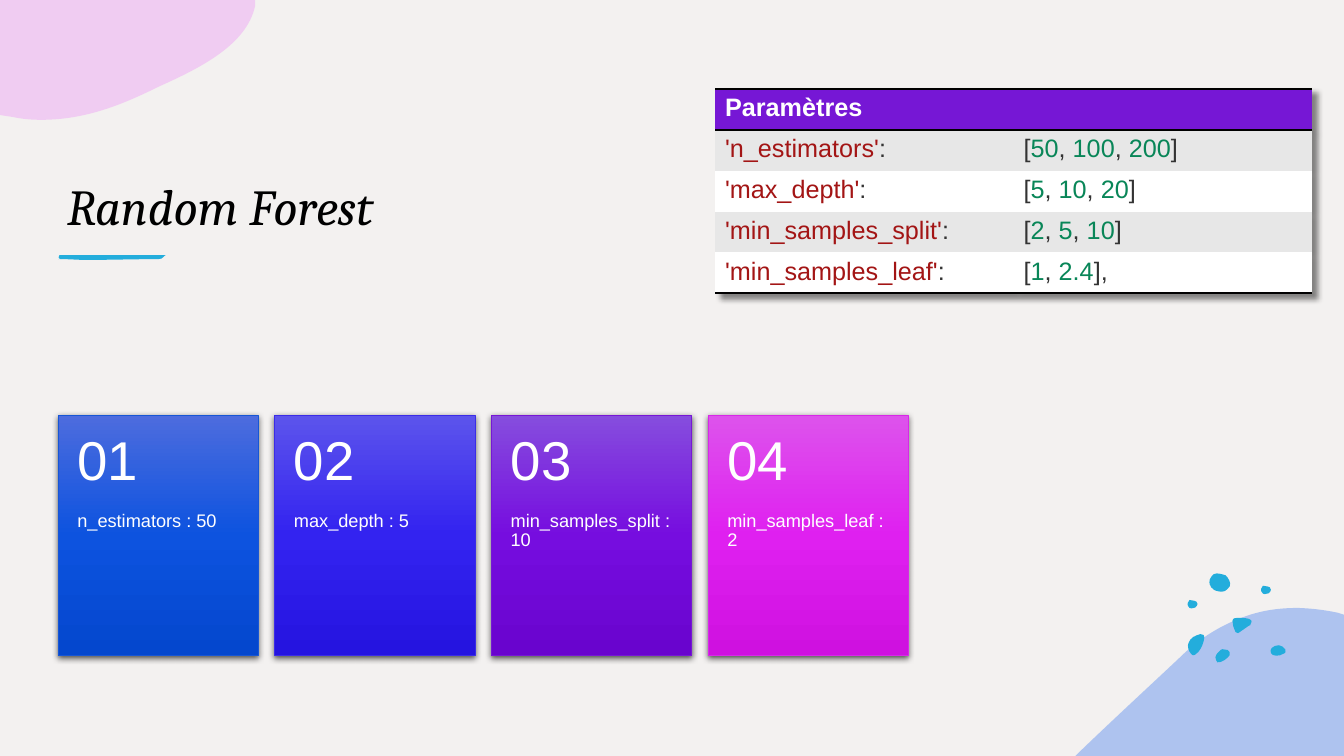
import copy

import lxml.etree
import pptx
import pptx.dml.color
import pptx.enum.shapes
import pptx.enum.text
import pptx.oxml.ns
import pptx.util

Cm = pptx.util.Cm
Pt = pptx.util.Pt
RGBColor = pptx.dml.color.RGBColor
qn = pptx.oxml.ns.qn

BACKGROUND = RGBColor(0xF3, 0xF1, 0xF0)
BLACK = RGBColor(0, 0, 0)
WHITE = RGBColor(0xFF, 0xFF, 0xFF)
BLUE = RGBColor(0x6B, 0x97, 0xEF)
PINK = RGBColor(0xEF, 0xA9, 0xF5)
CYAN = RGBColor(0x23, 0xAD, 0xDC)
PURPLE = RGBColor(0x76, 0x17, 0xD5)
BAND = RGBColor(0xE7, 0xE7, 0xE7)
RED = RGBColor(0xA3, 0x15, 0x15)
GREEN = RGBColor(0x09, 0x86, 0x58)
GREY = RGBColor(0x33, 0x33, 0x33)

deck = pptx.Presentation()
deck.slide_width, deck.slide_height = Cm(33.87), Cm(19.05)
page = deck.slides.add_slide(deck.slide_layouts[6])
page.background.fill.solid()
page.background.fill.fore_color.rgb = BACKGROUND


def draw_outline(start, curves, corners, colour, opacity=100):
    """Draw cubic curves (control, control, end in cm), then straight corners."""
    points = [point for curve in curves for point in curve] + corners
    builder = page.shapes.build_freeform(Cm(start[0]), Cm(start[1]))
    builder.add_line_segments([(Cm(x), Cm(y)) for x, y in points], close=True)
    shape = builder.convert_to_shape()
    segments = shape._element.spPr.findall(".//" + qn("a:lnTo"))
    for first in range(0, 3 * len(curves), 3):
        bezier = lxml.etree.Element(qn("a:cubicBezTo"))
        segments[first].addprevious(bezier)
        for segment in segments[first:first + 3]:
            bezier.append(segment[0])
            segment.getparent().remove(segment)
    shape.shadow.inherit = False
    shape.fill.solid()
    shape.fill.fore_color.rgb = colour
    shape.line.fill.background()
    if opacity < 100:
        tint = shape._element.spPr.find(".//" + qn("a:srgbClr"))
        lxml.etree.SubElement(tint, qn("a:alpha"), val=str(opacity * 1000))


def cast_shadow(effects, blur, distance, angle, opacity):
    shadow = lxml.etree.SubElement(
        effects, qn("a:outerShdw"), blurRad=str(Pt(blur)), dist=str(Pt(distance)),
        dir=str(angle * 60000), algn="ctr", rotWithShape="0")
    tint = lxml.etree.SubElement(shadow, qn("a:srgbClr"), val="000000")
    lxml.etree.SubElement(tint, qn("a:alpha"), val=str(opacity * 1000))


# Corner blobs
draw_outline((27.13, 19.02), [
    ((27.99, 18.19), (28.88, 17.37), (29.69, 16.61)),
    ((30.25, 16.05), (30.84, 15.72), (31.42, 15.52)),
    ((31.85, 15.37), (32.28, 15.32), (32.71, 15.32)),
    ((33.05, 15.33), (33.38, 15.37), (33.71, 15.44)),
], [(33.87, 15.49), (33.87, 19.05), (27.1, 19.05)], BLUE, 50)
draw_outline((6.43, 0.15), [
    ((6.22, 1.12), (5.08, 1.7), (4.01, 2.18)),
    ((3.12, 2.62), (2.18, 3.02), (1.04, 3.02)),
    ((0.79, 3.02), (0.56, 3), (0.33, 2.95)),
], [(0, 2.9), (0, 0), (6.43, 0)], PINK, 50)

# Cyan dots, each a closed loop of curves
pebble = [
    ((31.78, 14.88), (31.78, 14.78), (31.83, 14.76)),
    ((31.88, 14.76), (31.9, 14.76), (31.95, 14.78)),
    ((31.98, 14.78), (32.03, 14.81), (32.03, 14.86)),
    ((32.03, 14.88), (32, 14.94), (31.98, 14.94)),
    ((31.98, 14.94), (31.98, 14.96), (31.93, 14.96)),
    ((31.9, 14.96), (31.85, 14.99), (31.83, 14.96)),
    ((31.8, 14.91), (31.78, 14.91), (31.78, 14.88)),
]
dots = [
    [((30.86, 16.36), (30.89, 16.36), (30.94, 16.38)),
     ((30.99, 16.41), (31.01, 16.46), (30.99, 16.51)),
     ((30.94, 16.59), (30.78, 16.71), (30.68, 16.69)),
     ((30.66, 16.66), (30.63, 16.61), (30.63, 16.56)),
     ((30.63, 16.51), (30.68, 16.46), (30.73, 16.41)),
     ((30.76, 16.38), (30.78, 16.36), (30.81, 16.36))],
    [((30.3, 15.98), (30.36, 15.99), (30.35, 16.08)),
     ((30.33, 16.21), (30.28, 16.33), (30.2, 16.43)),
     ((30.15, 16.48), (30.07, 16.56), (30.02, 16.48)),
     ((29.95, 16.41), (29.92, 16.28), (29.95, 16.21)),
     ((29.97, 16.13), (30.02, 16.1), (30.07, 16.05)),
     ((30.1, 16.05), (30.18, 15.98), (30.25, 15.98))],
    [((32.28, 16.26), (32.36, 16.31), (32.39, 16.36)),
     ((32.41, 16.41), (32.41, 16.46), (32.33, 16.48)),
     ((32.26, 16.54), (32.05, 16.54), (32.03, 16.46)),
     ((32, 16.41), (32.03, 16.36), (32.05, 16.33)),
     ((32.1, 16.28), (32.16, 16.26), (32.23, 16.26))],
    [((30.48, 14.76), (30.45, 14.61), (30.53, 14.53)),
     ((30.58, 14.48), (30.58, 14.45), (30.66, 14.45)),
     ((30.73, 14.45), (30.84, 14.48), (30.89, 14.5)),
     ((30.94, 14.55), (31.04, 14.68), (30.99, 14.78)),
     ((30.91, 14.86), (30.89, 14.91), (30.78, 14.91)),
     ((30.71, 14.91), (30.58, 14.88), (30.56, 14.83)),
     ((30.51, 14.81), (30.51, 14.78), (30.51, 14.76))],
    pebble,
    [[(x - 1.85, y + 0.36) for x, y in curve] for curve in pebble],
    [((31.34, 15.57), (31.62, 15.57), (31.52, 15.72)),
     ((31.52, 15.75), (31.5, 15.77), (31.47, 15.77)),
     ((31.39, 15.82), (31.32, 15.88), (31.24, 15.93)),
     ((31.22, 15.95), (31.19, 15.98), (31.14, 15.93)),
     ((31.09, 15.82), (31.06, 15.75), (31.06, 15.65)),
     ((31.06, 15.62), (31.06, 15.57), (31.19, 15.57))],
]
for dot in dots:
    draw_outline(dot[-1][-1], dot, [], CYAN)

# Title, its brush stroke and the loose bristles at both ends
for x, y in ((1.48, 6.53), (1.52, 6.53), (4.15, 6.43)):
    draw_outline((x, y), [((x + 0.01, y), (x + 0.02, y), (x + 0.02, y + 0.01))], [], CYAN)
draw_outline((4.17, 6.43), [
    ((4.09, 6.45), (4.14, 6.53), (3.99, 6.53)),
    ((3.4, 6.53), (2.8, 6.55), (2.18, 6.55)),
    ((1.95, 6.55), (1.75, 6.53), (1.55, 6.53)),
    ((1.45, 6.53), (1.47, 6.45), (1.5, 6.43)),
], [], CYAN)
box = page.shapes.add_textbox(Cm(1.44), Cm(0.92), Cm(13.23), Cm(5.13))
box.text_frame.word_wrap = True
box.text_frame.auto_size = pptx.enum.text.MSO_AUTO_SIZE.NONE
box.text_frame.vertical_anchor = pptx.enum.text.MSO_ANCHOR.BOTTOM
para = box.text_frame.paragraphs[0]
para.text = "Random Forest"
para.font.name, para.font.size, para.font.italic = "Cambria", Pt(36), True
para.font.color.rgb = BLACK

# Cards with the chosen values: text, gradient colours, line colour
cards = [
    ("n_estimators : 50", ("4D6CDE", "0D53DF", "0447CE"), "1756D5"),
    ("max_depth : 5", ("5C54EC", "3323F0", "2514E0"), "3B2CE7"),
    ("min_samples_split : 10", ("864DDE", "760DDF", "6904CE"), "7617D5"),
    ("min_samples_leaf : 2", ("DD53EC", "DF20F0", "CF11E0"), "D729E7"),
]
for index, (setting, gradient, edge) in enumerate(cards):
    left = Cm(1.46 + 5.46 * index)
    card = page.shapes.add_shape(pptx.enum.shapes.MSO_SHAPE.RECTANGLE,
                                 left, Cm(10.46), Cm(5.05), Cm(6.06))
    card.fill.gradient()
    card.fill.gradient_angle = 270
    stops = card._element.spPr.find(".//" + qn("a:gsLst"))
    stops.insert(1, copy.deepcopy(stops[0]))
    for stop, position, colour in zip(card.fill.gradient_stops, (0, 0.5, 1), gradient):
        stop.position = position
        stop.color.rgb = RGBColor.from_string(colour)
    card.line.color.rgb = RGBColor.from_string(edge)
    card.line.width = Pt(0.5)
    card.shadow.inherit = False
    cast_shadow(card._element.spPr.find(qn("a:effectLst")), 4.5, 1.5, 90, 63)
    for text, size, top, height, above, below, anchor in (
            (setting, 13, 12.89, 3.63, 0, 0.91, pptx.enum.text.MSO_ANCHOR.TOP),
            (f"{index + 1:02}", 39, 10.46, 2.43, 0.46, 0.46, pptx.enum.text.MSO_ANCHOR.MIDDLE)):
        frame = page.shapes.add_textbox(left, Cm(top), Cm(5.05), Cm(height)).text_frame
        frame.word_wrap = True
        frame.auto_size = pptx.enum.text.MSO_AUTO_SIZE.NONE
        frame.vertical_anchor = anchor
        frame.margin_left = frame.margin_right = Cm(0.49)
        frame.margin_top, frame.margin_bottom = Cm(above), Cm(below)
        para = frame.paragraphs[0]
        para.text, para.line_spacing = text, 0.9
        para.font.name, para.font.size = "Arial", Pt(size)
        para.font.color.rgb = WHITE

# Table of tested parameters, each cell a list of coloured runs
rows = [[[("Paramètres", WHITE)], []]]
for name, values, closing in (("n_estimators", ("50", "100", "200"), "]"),
                              ("max_depth", ("5", "10", "20"), "]"),
                              ("min_samples_split", ("2", "5", "10"), "]"),
                              ("min_samples_leaf", ("1", "2.4"), "],")):
    spans = [("[", GREY)]
    for value in values:
        spans += [(value, GREEN), (", ", GREY)]
    rows.append([[(f"'{name}'", RED), (":", GREY)], spans[:-1] + [(closing, GREY)]])
table = page.shapes.add_table(5, 2, Cm(18.02), Cm(2.24), Cm(15.05), Cm(5.15)).table
properties = table._tbl.tblPr
properties.find(qn("a:tableStyleId")).text = "{2D5ABB26-0587-4C30-8999-92F81FD0307C}"
properties.insert(0, lxml.etree.Element(qn("a:effectLst")))
cast_shadow(properties[0], 4, 5, 45, 45)
for row, cells in enumerate(rows):
    for column, spans in enumerate(cells):
        cell = table.cell(row, column)
        cell.fill.solid()
        cell.fill.fore_color.rgb = PURPLE if row == 0 else BAND if row % 2 else WHITE
        para = cell.text_frame.paragraphs[0]
        for text, colour in spans:
            span = para.add_run()
            span.text, span.font.color.rgb = text, colour
        para.font.name, para.font.size, para.font.bold = "Arial", Pt(18), row == 0
        for place, side in enumerate({0: ("lnT", "lnB"), 4: ("lnB",)}.get(row, ())):
            border = lxml.etree.Element(qn("a:" + side), w=str(Pt(2)))
            ink = lxml.etree.SubElement(border, qn("a:solidFill"))
            lxml.etree.SubElement(ink, qn("a:srgbClr"), val=str(BLACK))
            cell._tc.tcPr.insert(place, border)

deck.save("out.pptx")
